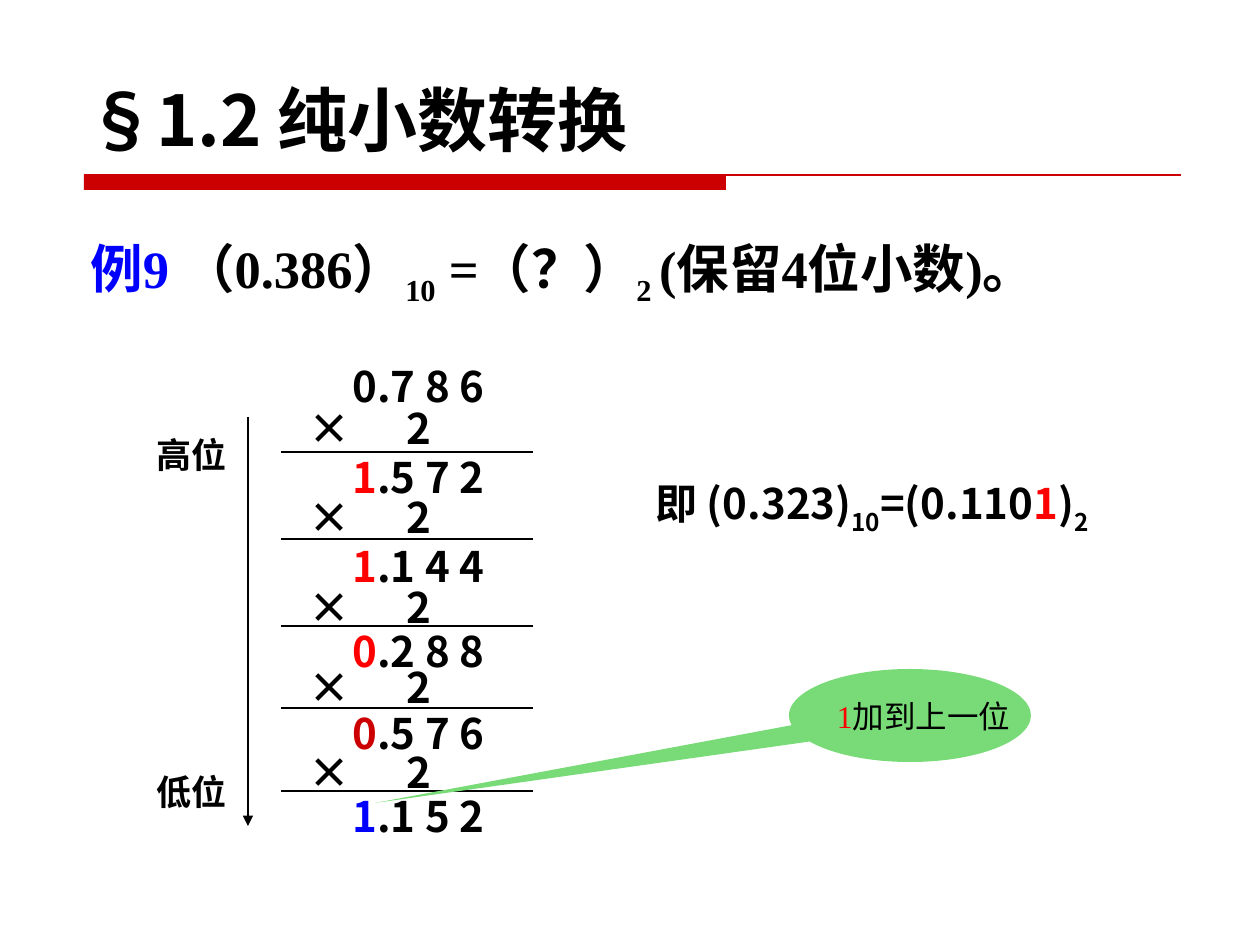
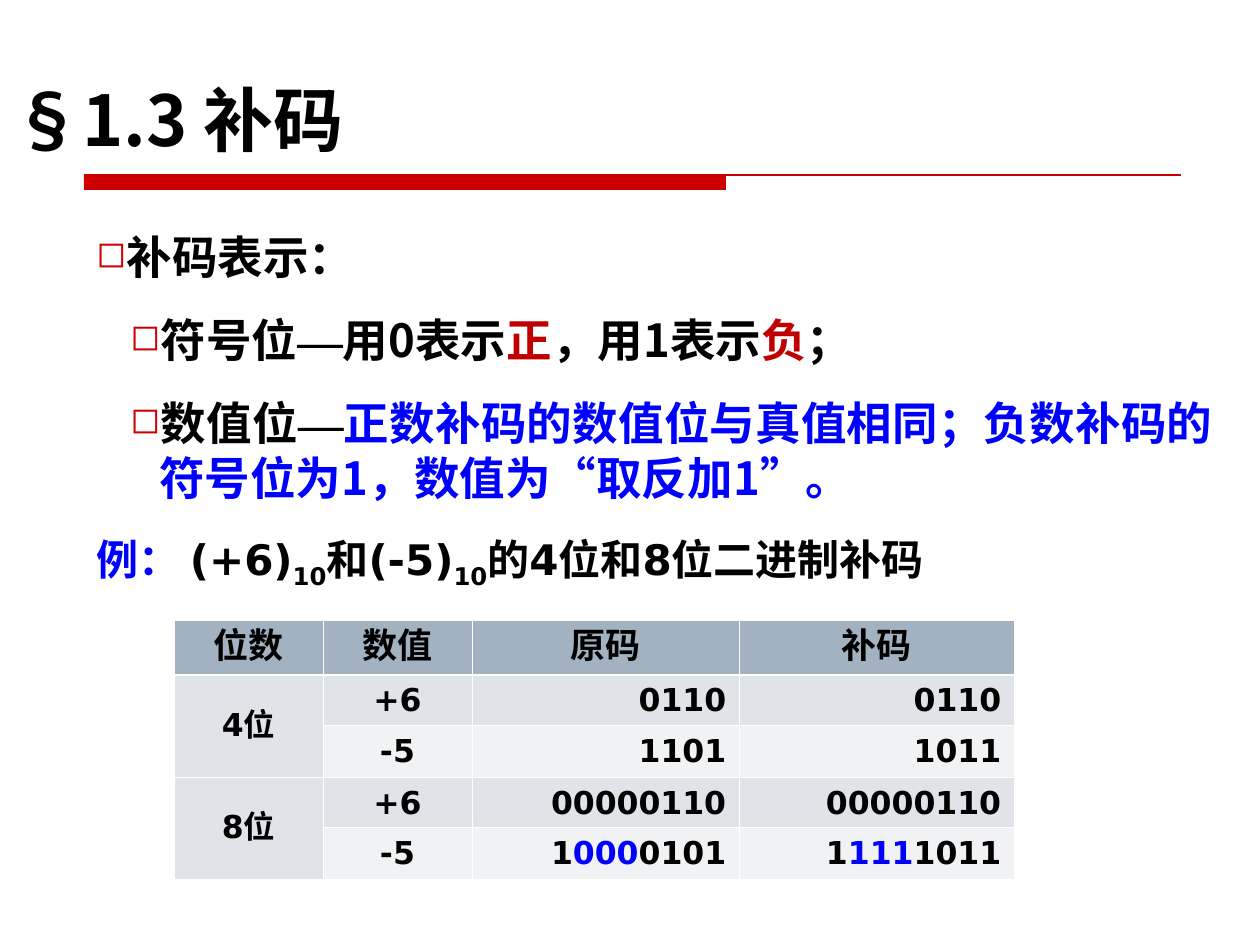
from lxml import etree
from pptx import Presentation
from pptx.dml.color import RGBColor as RGB
from pptx.enum.shapes import MSO_CONNECTOR as Conn, MSO_SHAPE as Shape
from pptx.enum.text import MSO_ANCHOR as Anchor, PP_ALIGN as Align
from pptx.oxml.ns import qn
from pptx.util import Pt

SCALE = 914400 / 126  # EMU in one px
HUES = {"ink": "000000", "band": "CC0000", "red": "FF0000", "dark": "C00000",
        "blue": "0000FF", "green": "79DB78", "white": "FFFFFF",
        "head": "A3B2C1", "odd": "E0E4E9", "even": "F0F2F4"}
NOTO, TIMES, DEJA = "Noto Sans CJK SC", "Times New Roman", "DejaVu Sans"

# Content: a run is (text, colour, baseline in %, font), the last three optional
TITLES = [([("§1.2 纯小数",), ("转换", "ink", 0, DEJA)], (74, 45, 1103, 122)),
          ([("§1.3 补码",)], (0, 45, 1260, 122))]
TASK = [("例9 ", "blue"), ("（0.386）",), ("10", "ink", -25), (" =（？）",),
        ("2 ", "ink", -25), ("(保留4位小数)。",)]
ANSWER = [("即 (0.323)",), ("10", "ink", -30), ("=(0.110",), ("1", "red"),
          (")",), ("2", "ink", -30)]
NOTE = [("1", "red"), ("加到上一位",)]
START = (354, [("0.7 8 6",)])
# top of the factor, height of the rule, top of the product, product
STEPS = [(396, 452, 445, [("1", "red"), (".5 7 2",)]),
         (485, 539, 534, [("1", "red"), (".1 4 4",)]),
         (575, 626, 619, [("0", "red"), (".2 8 8",)]),
         (655, 708, 701, [("0", "band"), (".5 7 6",)]),
         (740, 791, 784, [("1", "blue"), (".1 5 2",)])]
ENDS = [("高位", 427), ("低位", 764)]

# Bullets: level and runs
POINTS = [
    (0, [("补码表示：",)]),
    (1, [("符号位",), ("—", "ink", 0, TIMES), ("用0表示",), ("正", "dark"),
         ("，用1表示",), ("负", "dark"), ("；",)]),
    (1, [("数值位",), ("—", "ink", 0, TIMES),
         ("正数补码的数值位与真值相同；负数补码的符号位为1，"
          "数值为“取反加1”。", "blue")])]
MARGINS = [(30, 30), (63, 29)]  # left margin and hang of each level
CASE = [("例： ", "blue"), ("(+6)",), ("10", "ink", -25), ("和(-5)",),
        ("10", "ink", -25), ("的4位和8位二进制补码",)]
COLS = [149, 149, 267, 275]
ROWS = [55, 50, 52, 50, 52]
TABLE = [["位数", "数值", "原码", "补码"],
         ["4位", "+6", "0110", "0110"],
         [None, "-5", "1101", "1011"],
         ["8位", "+6", "00000110", "00000110"],
         [None, "-5", [("1",), ("000", "blue"), ("0101",)],
          [("1",), ("111", "blue"), ("1011",)]]]


def px(num):
    return round(num * SCALE)


def hue(key):
    return RGB.from_string(HUES[key])


def add_sub(node, tag, **attrs):
    return etree.SubElement(node, qn(tag), attrs)


def set_face(font, props, name):
    font.name = name
    ea = TIMES if name == TIMES and props.tag == qn("a:rPr") else NOTO
    add_sub(props, "a:ea", typeface=ea)


def write(para, runs, size, face=NOTO, bold=True, align=None, gap=0):
    """Fill a paragraph; lines are 1.2 times the type size."""
    font = para.font
    font.size, font.bold = Pt(size), bold
    set_face(font, para._p.pPr.find(qn("a:defRPr")), face)
    para.line_spacing = Pt(size * 1.2)
    para.space_before = Pt(gap)
    para.alignment = align
    for text, *rest in runs:
        key, base, name = (rest + ["ink", 0, None][len(rest):])
        run = para.add_run()
        run.text = text
        run.font.color.rgb = hue(key)
        props = run._r.get_or_add_rPr()
        if base:
            props.set("baseline", str(base * 1000))
        if name:
            set_face(run.font, props, name)


def add_box(slide, rect, runs, size, face=NOTO, anchor=Anchor.TOP, **style):
    frame = slide.shapes.add_textbox(*map(px, rect)).text_frame
    frame.word_wrap = True
    frame.vertical_anchor = anchor
    para = frame.paragraphs[0]
    write(para, runs, size, face, **style)
    return para


def add_line(slide, x1, y1, x2, y2, key="ink", arrow=False):
    line = slide.shapes.add_connector(Conn.STRAIGHT, *map(px, (x1, y1, x2, y2)))
    line.line.color.rgb = hue(key)
    line.line.width = Pt(0.75)
    if arrow:
        add_sub(line.line._get_or_add_ln(), "a:tailEnd", type="triangle")
    add_sub(line._element.spPr, "a:effectLst")


def add_fill(slide, kind, rect, key):
    shape = slide.shapes.add_shape(kind, *map(px, rect))
    shape.shadow.inherit = False
    shape.fill.solid()
    shape.fill.fore_color.rgb = hue(key)
    shape.line.fill.background()
    return shape


def add_page(deck, title, rect):
    """Blank slide with the red band and the title."""
    slide = deck.slides.add_slide(deck.slide_layouts[6])
    add_fill(slide, Shape.RECTANGLE, (84, 175, 642, 15), "band")
    add_line(slide, 84, 175, 1181, 175, "band")
    add_box(slide, rect, title, 40, anchor=Anchor.BOTTOM)
    return slide


def add_sums(slide):
    """Repeated multiplication by two, with the reading direction."""
    for top, runs in [START] + [step[2:] for step in STEPS]:
        add_box(slide, (340, top, 200, 63), runs, 24)
    for top, rule, *_ in STEPS:
        para = add_box(slide, (296, top, 250, 63), [("×\t2",)], 24)
        tabs = etree.Element(qn("a:tabLst"))
        add_sub(tabs, "a:tab", pos=str(px(98)), algn="l")
        para._p.pPr.find(qn("a:defRPr")).addprevious(tabs)
        add_line(slide, 281, rule, 533, rule)
    add_line(slide, 248, 417, 248, 826, arrow=True)
    for text, top in ENDS:
        add_box(slide, (144, top, 100, 55), [(text,)], 20, TIMES)


def add_note(slide):
    note = add_fill(slide, Shape.OVAL_CALLOUT, (789, 669, 242, 93), "green")
    note.adjustments[0], note.adjustments[1] = -2.21, 0.94
    frame = note.text_frame
    frame.word_wrap = False
    frame.vertical_anchor = Anchor.MIDDLE
    write(frame.paragraphs[0], NOTE, 18, TIMES, bold=False, align=Align.LEFT)


def add_points(slide):
    frame = slide.shapes.add_textbox(*map(px, (84, 223, 1142, 289))).text_frame
    frame.word_wrap = True
    for num, (level, runs) in enumerate(POINTS):
        para = frame.add_paragraph() if num else frame.paragraphs[0]
        para.level = level
        write(para, runs, 26, align=Align.JUSTIFY, gap=16.2)
        props = para._p.pPr
        left, hang = MARGINS[level]
        props.set("marL", str(px(left)))
        props.set("indent", str(-px(hang)))
        color = etree.Element(qn("a:buClr"))
        add_sub(color, "a:srgbClr", val=HUES["band"])
        size = etree.Element(qn("a:buSzPct"), val="80000")
        mark = etree.Element(qn("a:buChar"), char="◻")
        for part in (color, size, mark):
            props.find(qn("a:defRPr")).addprevious(part)


def set_edges(cell, row):
    """White cell borders, thicker below the header row."""
    props = cell._tc.get_or_add_tcPr()
    thick = {"T": row == 1, "B": row == 0}
    for num, side in enumerate("LRTB"):
        width = Pt(1.47 if thick.get(side) else 0.45)
        edge = etree.Element(qn(f"a:ln{side}"), w=str(width))
        fill = add_sub(edge, "a:solidFill")
        add_sub(fill, "a:srgbClr", val=HUES["white"])
        props.insert(num, edge)


def add_codes(slide):
    rect = (174, 620, sum(COLS), sum(ROWS))
    table = slide.shapes.add_table(len(ROWS), len(COLS), *map(px, rect)).table
    for col, width in zip(table.columns, COLS):
        col.width = px(width)
    for row, height in zip(table.rows, ROWS):
        row.height = px(height)
    for r, line in enumerate(TABLE):
        for c, value in enumerate(line):
            cell = table.cell(r, c)
            cell.fill.solid()
            key = "head" if r == 0 else "odd" if r % 2 or c == 0 else "even"
            cell.fill.fore_color.rgb = hue(key)
            set_edges(cell, r)
            if value is None:
                table.cell(r - 1, c).merge(cell)
                continue
            if r and c == 0:
                cell.vertical_anchor = Anchor.MIDDLE
            runs = [(value,)] if isinstance(value, str) else value
            size, face = (18, DEJA) if r else (20, NOTO)
            align = Align.RIGHT if r and c > 1 else Align.CENTER
            write(cell.text_frame.paragraphs[0], runs, size, face, align=align)


def main():
    deck = Presentation()
    deck.slide_width, deck.slide_height = px(1260), px(945)
    first, second = [add_page(deck, *title) for title in TITLES]

    # Fraction conversion
    add_box(first, (78, 238, 1134, 84), TASK, 30, TIMES, align=Align.JUSTIFY)
    add_sums(first)
    add_box(first, (643, 480, 535, 72), ANSWER, 24)
    add_note(first)

    # Two's complement
    add_points(second)
    add_box(second, (84, 534, 1121, 86), CASE, 24, DEJA, gap=6)
    add_codes(second)
    deck.save("out.pptx")


if __name__ == "__main__":
    main()
